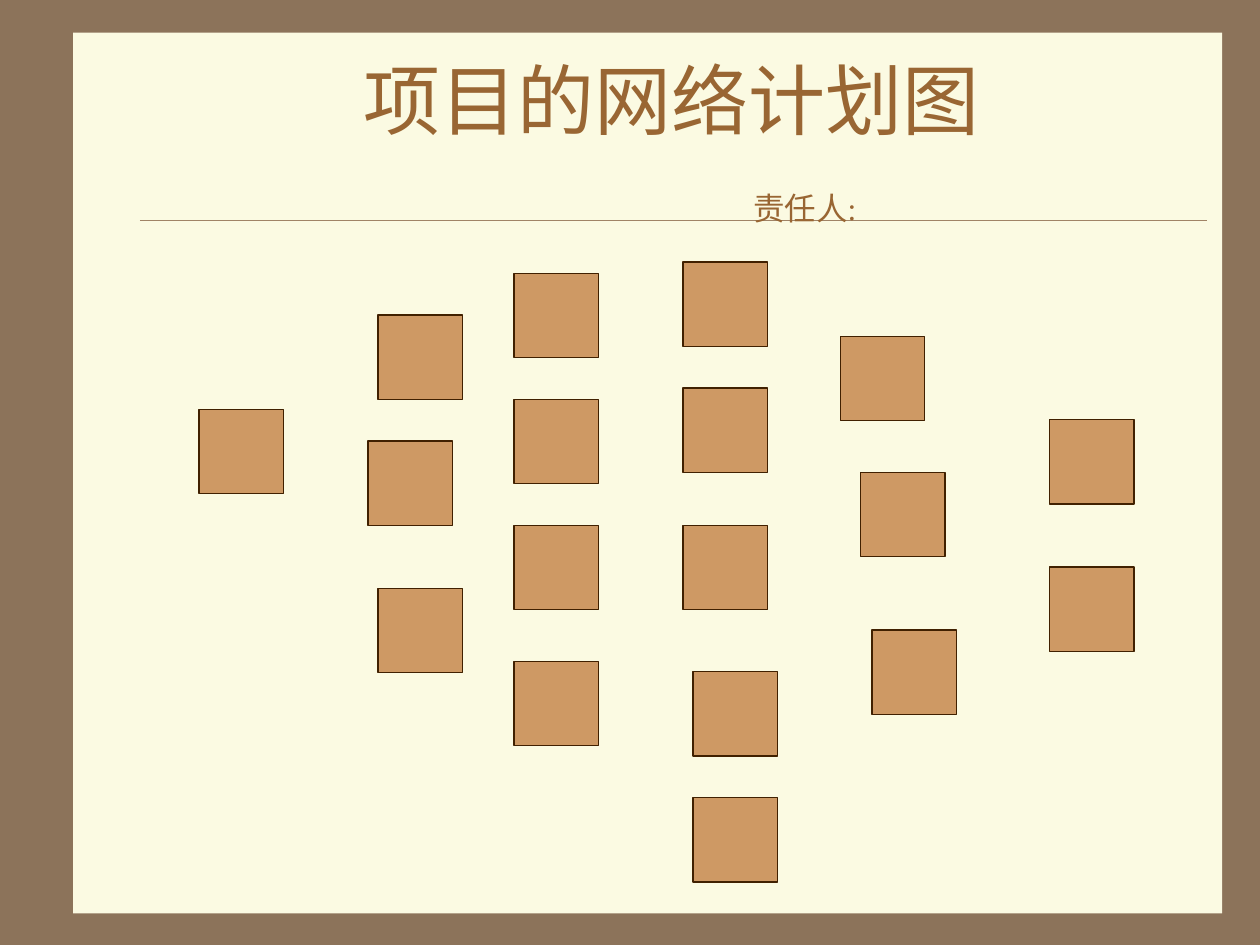
"""Build a project network plan slide with columns of empty task boxes."""
import pptx
import pptx.dml.color
import pptx.enum.shapes
import pptx.enum.text
import pptx.oxml.ns
import pptx.util
from lxml import etree

Inches = pptx.util.Inches
COLORS = {
    "frame": "8C735A",
    "paper": "FBFAE2",
    "rule": "A08366",
    "text": "996633",
    "task": "CE9964",
    "outline": "402000",
}
FONT = "Times New Roman"
TASK_SIZE = 0.67
TASK_COLUMNS = [
    [(1.58, 3.25)],
    [(3, 2.5), (2.92, 3.5), (3, 4.67)],
    [(4.08, 2.17), (4.08, 3.17), (4.08, 4.17), (4.08, 5.25)],
    [(5.42, 2.08), (5.42, 3.08), (5.42, 4.17), (5.5, 5.33), (5.5, 6.33)],
    [(6.67, 2.67), (6.83, 3.75), (6.92, 5)],
    [(8.33, 3.33), (8.33, 4.5)],
]


def color(name):
    return pptx.dml.color.RGBColor.from_string(COLORS[name])


def add_rectangle(page, left, top, width, height, fill, outline=None):
    box = page.shapes.add_shape(
        pptx.enum.shapes.MSO_SHAPE.RECTANGLE,
        Inches(left), Inches(top), Inches(width), Inches(height))
    box.shadow.inherit = False
    box.fill.solid()
    box.fill.fore_color.rgb = color(fill)
    if outline:
        box.line.color.rgb = color(outline)
        box.line.width = pptx.util.Pt(0.75)
    else:
        box.line.fill.background()


def add_rule(page, left, right, top):
    rule = page.shapes.add_connector(
        pptx.enum.shapes.MSO_CONNECTOR.STRAIGHT,
        Inches(left), Inches(top), Inches(right), Inches(top))
    rule.line.color.rgb = color("rule")
    rule.line.width = pptx.util.Pt(0.25)
    etree.SubElement(rule._element.spPr, pptx.oxml.ns.qn("a:effectLst"))


def add_text(page, text, *, left, top, width, height, size, align):
    box = page.shapes.add_textbox(
        Inches(left), Inches(top), Inches(width), Inches(height))
    frame = box.text_frame
    frame.word_wrap = True
    frame.vertical_anchor = pptx.enum.text.MSO_ANCHOR.MIDDLE
    para = frame.paragraphs[0]
    para.alignment = align
    span = para.add_run()
    span.text = text
    span.font.name = FONT
    span.font.size = pptx.util.Pt(size)
    span.font.color.rgb = color("text")


def main():
    deck = pptx.Presentation()
    deck.slide_width, deck.slide_height = Inches(10), Inches(7.5)
    page = deck.slides.add_slide(deck.slide_layouts[6])
    page.background.fill.solid()
    page.background.fill.fore_color.rgb = color("frame")

    add_rectangle(page, 0.58, 0.26, 9.12, 6.99, "paper")
    add_rule(page, 1.11, 9.58, 1.75)
    align = pptx.enum.text.PP_ALIGN
    add_text(page, "项目的网络计划图", left=1.08, top=0.28, width=8.5,
             height=1, size=44, align=align.CENTER)
    add_text(page, "责任人:", left=5.88, top=1.4, width=2,
             height=0.5, size=18, align=align.LEFT)

    for column in TASK_COLUMNS:
        for left, top in column:
            add_rectangle(page, left, top, TASK_SIZE, TASK_SIZE,
                          "task", "outline")
    deck.save("out.pptx")


if __name__ == "__main__":
    main()
